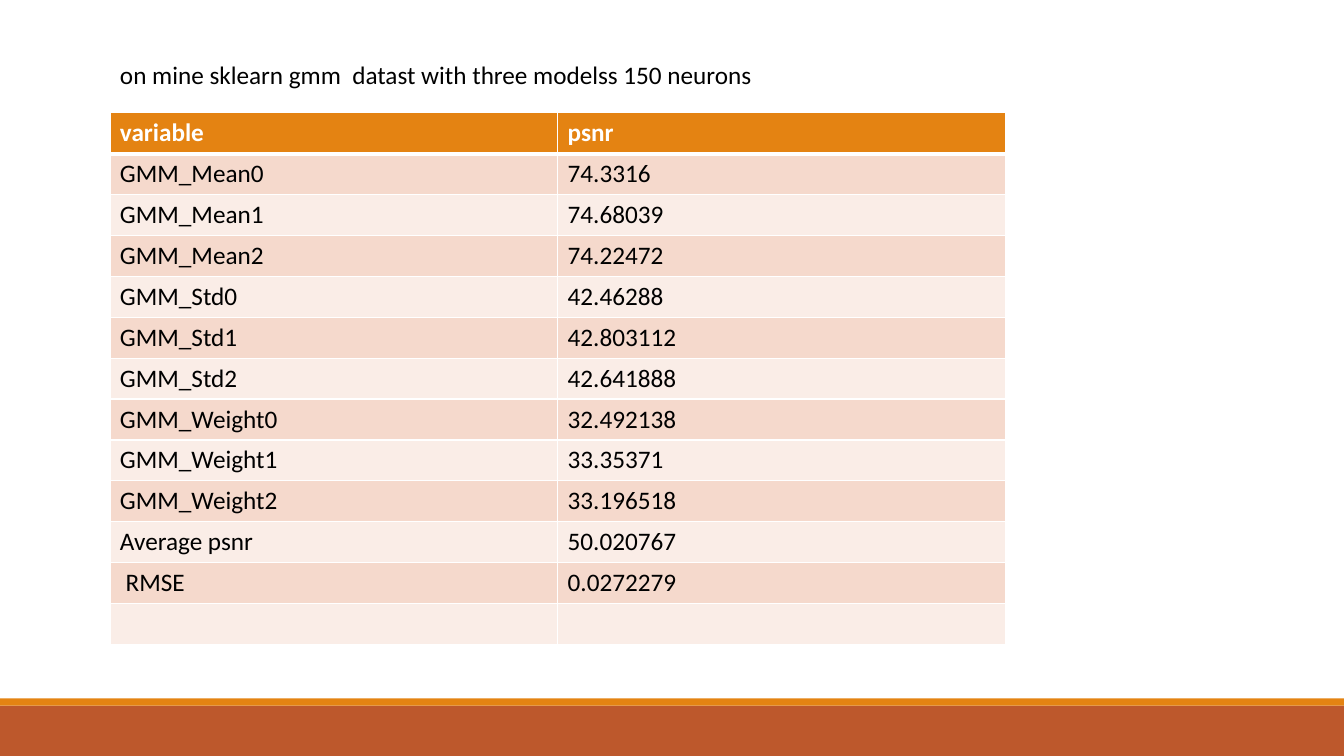
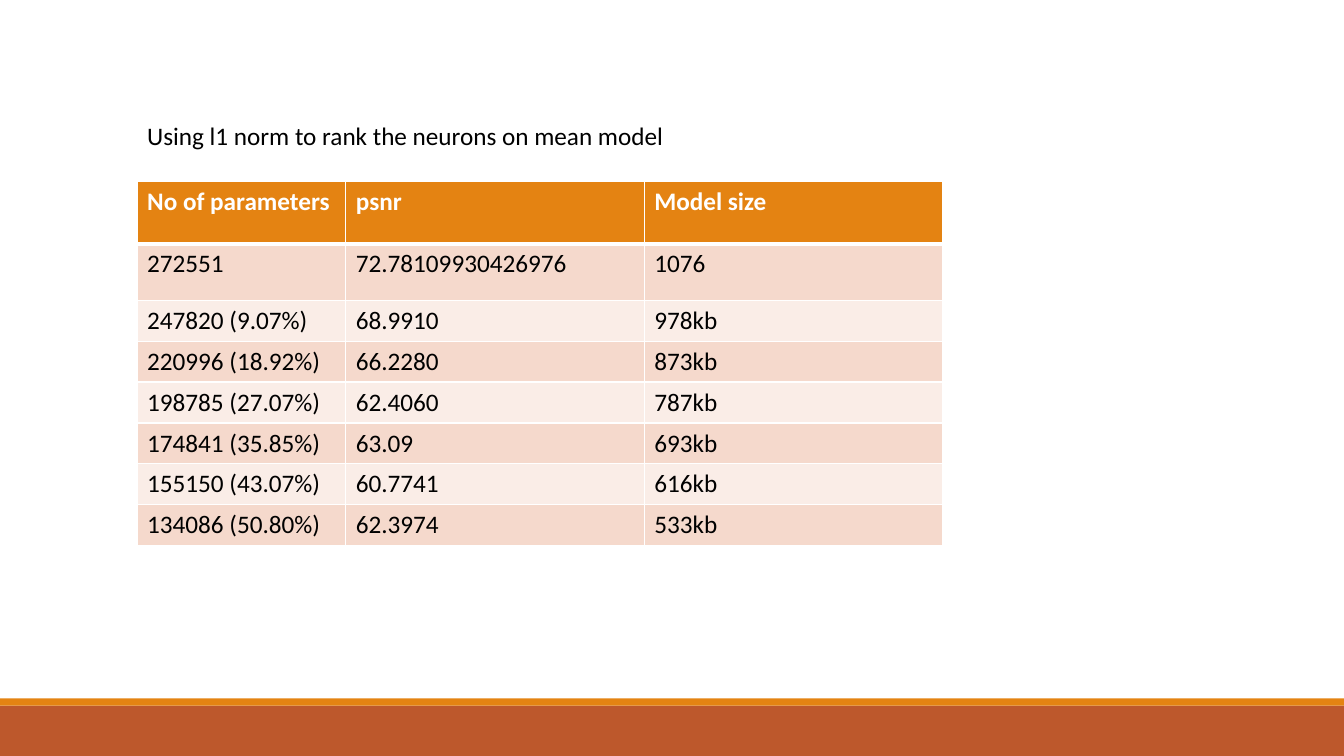
from lxml import etree
from pptx import Presentation
from pptx.dml.color import RGBColor
from pptx.enum import shapes, text
from pptx.oxml import ns
from pptx.util import Inches, Pt

# Shared look
ORANGE = RGBColor(0xE4, 0x83, 0x12)
RUST = RGBColor(0xBD, 0x58, 0x2C)
ROW_FILLS = RGBColor(0xFA, 0xED, 0xE7), RGBColor(0xF5, 0xD9, 0xCC)
WHITE = RGBColor(0xFF, 0xFF, 0xFF)
BLACK = RGBColor(0, 0, 0)
FONT = "Calibri"
SLIDE_W, SLIDE_H = 13.33, 7.5
BANDS = [(7, 0.5, RUST), (6.93, 0.07, ORANGE)]  # top, height, colour

# Content: tall_rows gives the heights of leading rows, the rest share evenly
SLIDES = [
    {
        "title": "on mine sklearn gmm  datast with three modelss 150 neurons",
        "title_at": (1.09, 0.54, 9.93, 0.4),
        "table_at": (1.09, 1.12),
        "height": 5.27,
        "cols": [4.44, 4.44],
        "tall_rows": [],
        "rows": [
            ("variable", "psnr"),
            ("GMM_Mean0", "74.3316"),
            ("GMM_Mean1", "74.68039"),
            ("GMM_Mean2", "74.22472"),
            ("GMM_Std0", "42.46288"),
            ("GMM_Std1", "42.803112"),
            ("GMM_Std2", "42.641888"),
            ("GMM_Weight0", "32.492138"),
            ("GMM_Weight1", "33.35371"),
            ("GMM_Weight2", "33.196518"),
            ("Average psnr", "50.020767"),
            (" RMSE", "0.0272279"),
            ("", ""),
        ],
    },
    {
        "title": "Using l1 norm to rank the neurons on mean model",
        "title_at": (1.36, 1.14, 8.55, 0.4),
        "table_at": (1.36, 1.8),
        "height": 3.61,
        "cols": [2.07, 2.96, 2.96],
        "tall_rows": [0.62, 0.56],
        "rows": [
            ("No of parameters", "psnr", "Model size"),
            ("272551", "72.78109930426976", "1076"),
            ("247820 (9.07%)", "68.9910", "978kb"),
            ("220996 (18.92%)", "66.2280", "873kb"),
            ("198785 (27.07%)", "62.4060", "787kb"),
            ("174841 (35.85%)", "63.09", "693kb"),
            ("155150 (43.07%)", "60.7741", "616kb"),
            ("134086 (50.80%)", "62.3974", "533kb"),
        ],
    },
]


def write(tf, content, size=18, color=BLACK, bold=False):
    p = tf.paragraphs[0]
    p.alignment = text.PP_ALIGN.LEFT
    p.font.size = Pt(size)
    if content:
        r = p.add_run()
        r.text = content
        r.font.name, r.font.size, r.font.bold = FONT, Pt(size), bold
        r.font.color.rgb = color


def add_bands(s):
    for top, height, color in BANDS:
        sp = s.shapes.add_shape(shapes.MSO_SHAPE.RECTANGLE, 0, Inches(top),
                                Inches(SLIDE_W), Inches(height))
        sp.shadow.inherit = False
        sp.fill.solid()
        sp.fill.fore_color.rgb = color
        sp.line.fill.background()


def add_title(s, content, at):
    sp = s.shapes.title
    sp.left, sp.top, sp.width, sp.height = map(Inches, at)
    tf = sp.text_frame
    tf.word_wrap = True
    tf.auto_size = text.MSO_AUTO_SIZE.NONE
    tf.vertical_anchor = text.MSO_ANCHOR.TOP
    write(tf, content)


def set_borders(cell, **widths):
    tc_pr = cell._tc.get_or_add_tcPr()
    for side in "LRTB":
        ln = etree.SubElement(tc_pr, ns.qn(f"a:ln{side}"),
                              w=str(Pt(widths.get(side, 1))))
        fill = etree.SubElement(ln, ns.qn("a:solidFill"))
        etree.SubElement(fill, ns.qn("a:srgbClr"), val=str(WHITE))


def add_grid(s, rows, cols, at, height, tall_rows):
    left, top = at
    table = s.shapes.add_table(len(rows), len(cols), Inches(left), Inches(top),
                               Inches(sum(cols)), Inches(height)).table
    for column, width in zip(table.columns, cols):
        column.width = Inches(width)
    even = (height - sum(tall_rows)) / (len(rows) - len(tall_rows))
    heights = tall_rows + [even] * (len(rows) - len(tall_rows))
    for i, values in enumerate(rows):
        table.rows[i].height = Inches(heights[i])
        header = i == 0
        for j, value in enumerate(values):
            cell = table.cell(i, j)
            # A thick rule separates the header from the body
            set_borders(cell, B=3 if header else 1, T=3 if i == 1 else 1)
            cell.fill.solid()
            cell.fill.fore_color.rgb = ORANGE if header else ROW_FILLS[i % 2]
            write(cell.text_frame, value, color=WHITE if header else BLACK,
                  bold=header)


def main():
    prs = Presentation()
    prs.slide_width, prs.slide_height = Inches(SLIDE_W), Inches(SLIDE_H)
    title_only = prs.slide_layouts[5]
    for d in SLIDES:
        s = prs.slides.add_slide(title_only)
        add_bands(s)
        add_title(s, d["title"], d["title_at"])
        add_grid(s, d["rows"], d["cols"], d["table_at"], d["height"],
                 d["tall_rows"])
    prs.save("out.pptx")


if __name__ == "__main__":
    main()
